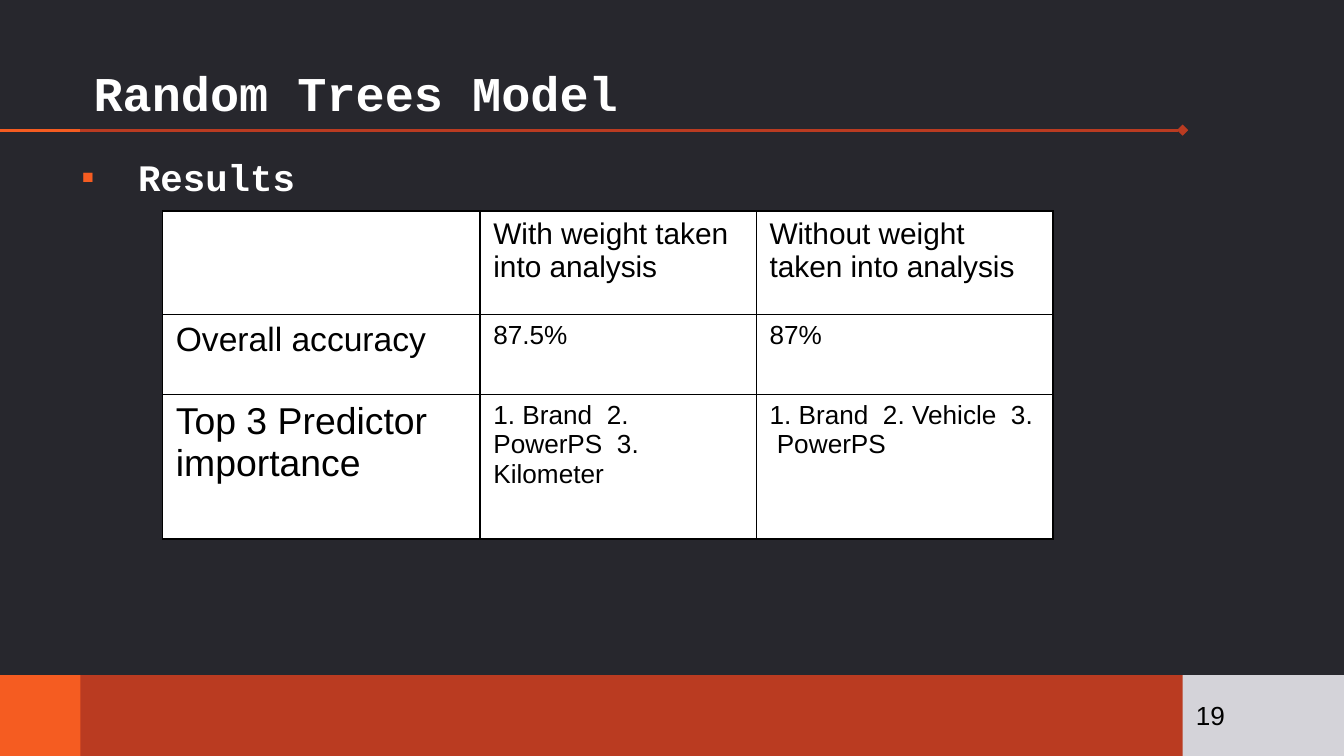
from dataclasses import dataclass

from lxml.etree import SubElement
from pptx import Presentation
from pptx.dml.color import RGBColor
from pptx.enum.shapes import MSO_CONNECTOR, MSO_SHAPE
from pptx.enum.text import MSO_ANCHOR, PP_ALIGN
from pptx.oxml.ns import qn
from pptx.util import Cm, Pt


@dataclass(frozen=True)
class Theme:
    back: str = "27272D"
    red: str = "BA3B21"
    orange: str = "F55C21"
    grey: str = "D4D3D9"
    white: str = "FFFFFF"
    black: str = "000000"
    head_font: str = "Courier New"
    body_font: str = "Arial"
    title: int = 26
    large: int = 20
    medium: int = 18
    header: int = 16
    small: int = 14


theme = Theme()


def add_run(p, text, size, font=theme.body_font, color=theme.black, bold=False):
    r = p.add_run()
    r.text = text
    r.font.size = Pt(size)
    r.font.name = font
    r.font.bold = bold
    r.font.color.rgb = RGBColor.from_string(color)


def set_insets(tf):
    tf.word_wrap = True
    tf.margin_left = tf.margin_right = tf.margin_top = tf.margin_bottom = Cm(0.25)


prs = Presentation()
prs.slide_width, prs.slide_height = Cm(25.4), Cm(14.29)
s = prs.slides.add_slide(prs.slide_layouts[6])
s.background.fill.solid()
s.background.fill.fore_color.rgb = RGBColor.from_string(theme.back)

# Shared guides: left accent width, start of the page number, footer band
accent, page_x, band_y = Cm(1.52), Cm(22.35), Cm(12.76)
band_h = prs.slide_height - band_y

# Title rule: red with a diamond end, orange at the left
for end_x, color, diamond in ((page_x, theme.red, True), (accent, theme.orange, False)):
    line = s.shapes.add_connector(MSO_CONNECTOR.STRAIGHT, 0, Cm(2.46), end_x, Cm(2.46))
    line.line.color.rgb = RGBColor.from_string(color)
    line.line.width = Pt(1.5)
    if diamond:
        SubElement(line.line._get_or_add_ln(), qn("a:tailEnd"), type="diamond")
    SubElement(line._element.spPr, qn("a:effectLst"))

# Footer band, with the page number in its last block
for x, w, color in ((0, prs.slide_width, theme.red), (0, accent, theme.orange),
                    (page_x, prs.slide_width - page_x, theme.grey)):
    sp = s.shapes.add_shape(MSO_SHAPE.RECTANGLE, x, band_y, w, band_h)
    sp.shadow.inherit = False
    sp.fill.solid()
    sp.fill.fore_color.rgb = RGBColor.from_string(color)
    sp.line.fill.background()
tf = sp.text_frame
set_insets(tf)
tf.vertical_anchor = MSO_ANCHOR.MIDDLE
p = tf.paragraphs[0]
p.alignment = PP_ALIGN.LEFT
add_run(p, "19", theme.small)

# Title
tf = s.shapes.add_textbox(accent, Cm(1.02), page_x - accent, Cm(1.52)).text_frame
set_insets(tf)
tf.vertical_anchor = MSO_ANCHOR.BOTTOM
add_run(tf.paragraphs[0], "Random Trees Model", theme.title, theme.head_font, theme.white, True)

# Bulleted heading
tf = s.shapes.add_textbox(Cm(1.09), Cm(2.54), Cm(20.83), Cm(1.4)).text_frame
set_insets(tf)
p = tf.paragraphs[0]
p.line_spacing = 1.15
pPr = p._p.get_or_add_pPr()
pPr.set("marL", str(Cm(1.27)))
pPr.set("indent", str(Cm(-1.07)))
SubElement(SubElement(pPr, qn("a:buClr")), qn("a:srgbClr"), val=theme.orange)
SubElement(pPr, qn("a:buFont"), typeface=theme.body_font)
SubElement(pPr, qn("a:buChar"), char="▪")
add_run(p, "Results", theme.large, theme.head_font, theme.white, True)

# Results table: each row has its height, label size, value size and texts
col_widths = (6, 5.22, 5.61)
rows = (
    (1.95, theme.header, theme.header,
     ("", "With weight taken into analysis", "Without weight taken into analysis")),
    (1.51, theme.medium, theme.small, ("Overall accuracy", "87.5%", "87%")),
    (2.74, theme.large, theme.small,
     ("Top 3 Predictor importance", "1. Brand  2. PowerPS  3. Kilometer",
      "1. Brand  2. Vehicle  3.  PowerPS")),
)
table = s.shapes.add_table(len(rows), len(col_widths), Cm(3.07), Cm(3.99),
                           Cm(sum(col_widths)), Cm(sum(row[0] for row in rows))).table
table.first_row = table.horz_banding = False
for column, width in zip(table.columns, col_widths):
    column.width = Cm(width)
for i, (height, label_size, value_size, texts) in enumerate(rows):
    table.rows[i].height = Cm(height)
    for j, text in enumerate(texts):
        cell = table.cell(i, j)
        tcPr = cell._tc.get_or_add_tcPr()
        for side in ("a:lnL", "a:lnR", "a:lnT", "a:lnB"):
            border = SubElement(tcPr, qn(side), w=str(Pt(0.75)))
            SubElement(SubElement(border, qn("a:solidFill")), qn("a:srgbClr"), val=theme.black)
        cell.fill.solid()
        cell.fill.fore_color.rgb = RGBColor.from_string(theme.white)
        if text:
            add_run(cell.text_frame.paragraphs[0], text, value_size if j else label_size)

prs.save("out.pptx")
